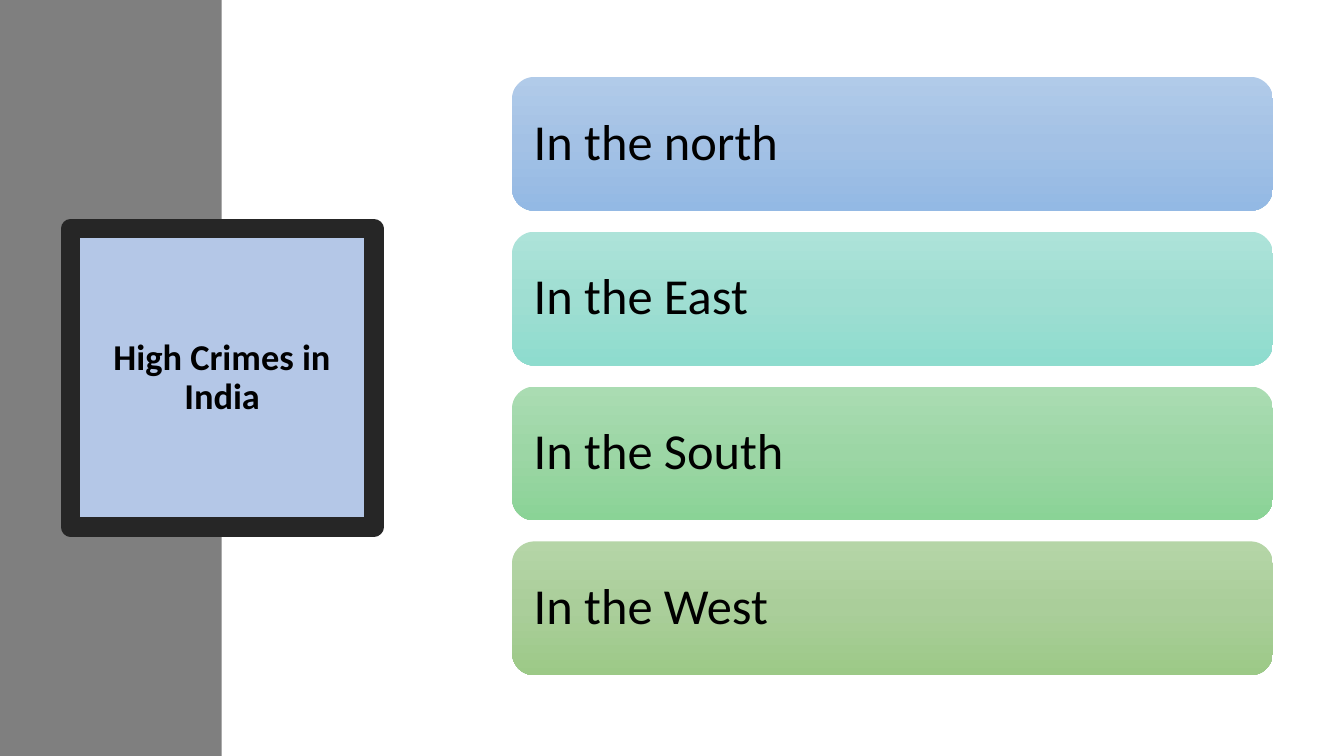
from copy import deepcopy

from pptx import Presentation
from pptx.dml.color import RGBColor
from pptx.enum import shapes, text
from pptx.oxml import parse_xml
from pptx.oxml.ns import nsdecls
from pptx.util import Pt

HEADING = "High Crimes in India"
REGIONS = [
    ("In the north", ("B1CBE9", "A3C1E5", "93B9E4")),
    ("In the East", ("ADE3D9", "9FDED2", "8EDCCE")),
    ("In the South", ("AADCB2", "9CD6A5", "8AD396")),
    ("In the West", ("B5D5A7", "AACE9A", "9CC987")),
]
SLIDE_W, SLIDE_H = 960, 540
BAND_W = 158.4
CIRCLE = (50.4, 163.4, 216.7, 213.1)
CARD_X, CARD_Y, CARD_W, CARD_H = 365.8, 54.9, 543.4, 95.6
CARD_STEP = 110.6
CARD_INSET = 10.8


def rgb(value):
    return RGBColor.from_string(value)


def add_plain_shape(kind, *box):
    """Add a preset shape without shadow or outline."""
    shape = slide.shapes.add_shape(kind, *map(Pt, box))
    shape.shadow.inherit = False
    shape.line.fill.background()
    return shape


def fill_downward(shape, colors):
    """Fill with three evenly spaced colours running from top to bottom."""
    shape.fill.gradient()
    shape.fill.gradient_angle = 270
    first = shape._element.spPr.find(".//{*}gs")
    first.addnext(deepcopy(first))
    for stop, color, position in zip(shape.fill.gradient_stops, colors, (0, 0.5, 1)):
        stop.color.rgb = rgb(color)
        stop.position = position


def write(shape, words, size, align, bold=False):
    frame = shape.text_frame
    frame.text = words
    frame.word_wrap = True
    frame.auto_size = text.MSO_AUTO_SIZE.NONE
    frame.vertical_anchor = text.MSO_ANCHOR.MIDDLE
    paragraph = frame.paragraphs[0]
    paragraph.alignment = align
    paragraph.line_spacing = 0.9
    paragraph.space_before = Pt(0)
    font = paragraph.runs[0].font
    font.name, font.size, font.bold = "Calibri", Pt(size), bold
    font.color.rgb = rgb("000000")


prs = Presentation()
prs.slide_width, prs.slide_height = Pt(SLIDE_W), Pt(SLIDE_H)
slide = prs.slides.add_slide(prs.slide_layouts[5])

circle = slide.shapes.title
circle.left, circle.top, circle.width, circle.height = map(Pt, CIRCLE)
circle._element.spPr.append(
    parse_xml(f'<a:prstGeom {nsdecls("a")} prst="ellipse"><a:avLst/></a:prstGeom>')
)
circle.fill.solid()
circle.fill.fore_color.rgb = rgb("B4C7E7")
circle.line.color.rgb = rgb("262626")
circle.line.width = Pt(13.75)
write(circle, HEADING, 26, text.PP_ALIGN.CENTER, bold=True)
circle.text_frame.paragraphs[0].space_after = Pt(6)

band = add_plain_shape(shapes.MSO_SHAPE.RECTANGLE, 0, 0, BAND_W, SLIDE_H)
band.fill.solid()
band.fill.fore_color.rgb = rgb("7F7F7F")
circle._element.addprevious(band._element)  # the circle overlaps the band

for row, (region, colors) in enumerate(REGIONS):
    card = add_plain_shape(
        shapes.MSO_SHAPE.ROUNDED_RECTANGLE,
        CARD_X, CARD_Y + row * CARD_STEP, CARD_W, CARD_H,
    )
    fill_downward(card, colors)
    write(card, region, 36, text.PP_ALIGN.LEFT)
    card.text_frame.margin_left = card.text_frame.margin_right = Pt(CARD_INSET)

prs.save("out.pptx")
